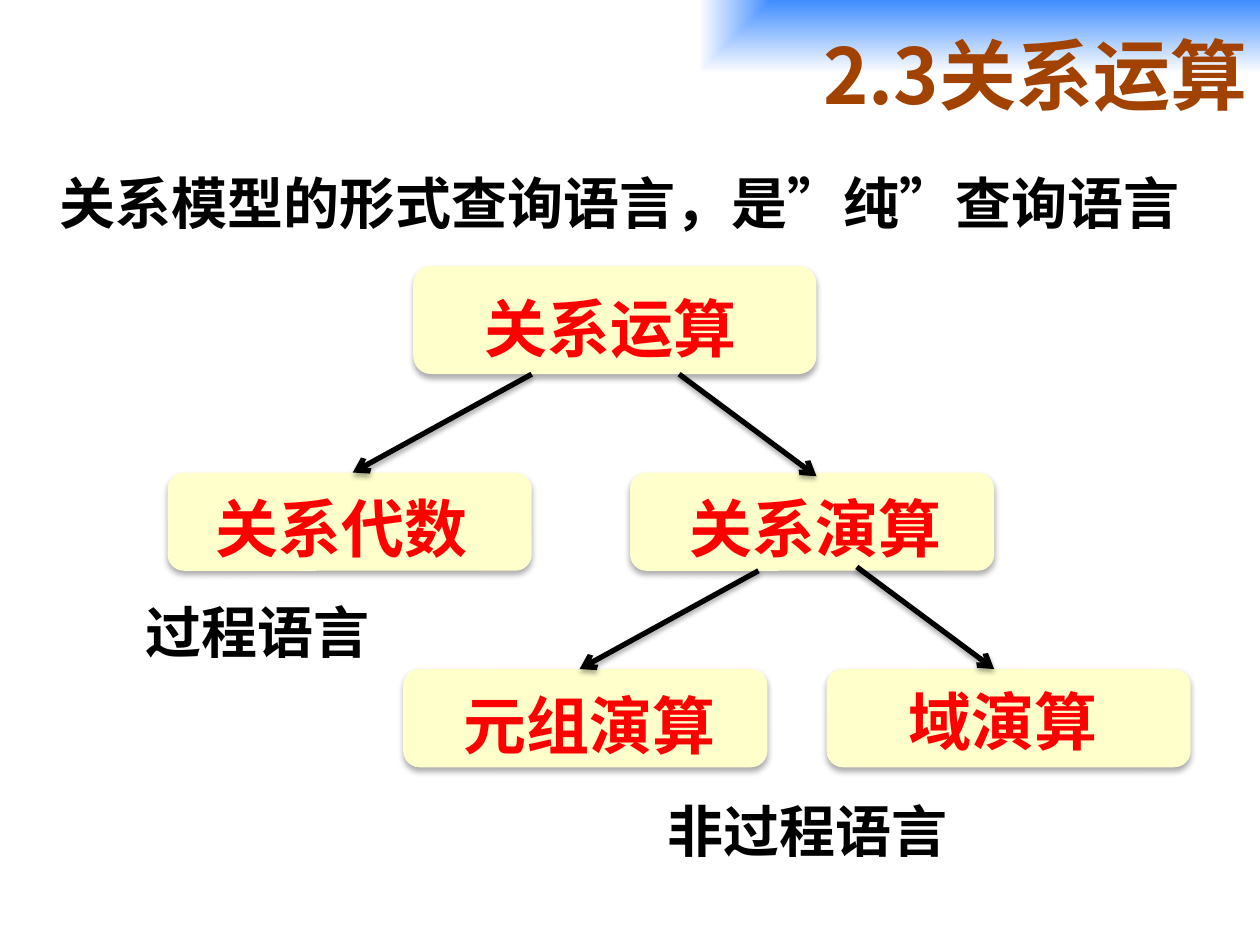
from dataclasses import dataclass

from lxml import etree
from pptx import Presentation
from pptx.dml.color import RGBColor
from pptx.enum.shapes import MSO_CONNECTOR, MSO_SHAPE
from pptx.enum.text import MSO_ANCHOR, MSO_AUTO_SIZE, PP_ALIGN
from pptx.oxml import parse_xml
from pptx.oxml.ns import qn
from pptx.util import Inches, Pt

ROUNDED = MSO_SHAPE.ROUNDED_RECTANGLE
STRAIGHT = MSO_CONNECTOR.STRAIGHT
MIDDLE = MSO_ANCHOR.MIDDLE
FIT_SHAPE = MSO_AUTO_SIZE.SHAPE_TO_FIT_TEXT
RIGHT = PP_ALIGN.RIGHT
JUSTIFY = PP_ALIGN.JUSTIFY
DRAWING = "http://schemas.openxmlformats.org/drawingml/2006/main"


@dataclass(frozen=True)
class Theme:
    """Colours, fonts and type sizes of the slide."""

    title_font: str = "Noto Sans CJK SC"
    body_font: str = "Noto Sans CJK JP"
    title_color: str = "A24200"
    node_color: str = "FF0000"
    ink: str = "000000"
    node_fill: str = "FFFFCC"
    banner_start: str = "3F8DFF"
    banner_end: str = "FFFFFF"
    title_size: int = 44
    node_size: int = 36
    text_size: int = 32
    line_width: int = 3


THEME = Theme()
CHILD_SIZE = (2.89, 0.78)
NODES = [
    ("关系运算", (3.28, 2.11), (3.2, 0.86), (3.75, 2.19), 2.22),
    ("关系代数", (1.33, 3.75), CHILD_SIZE, (1.61, 3.78), 2.22),
    ("关系演算", (5, 3.75), CHILD_SIZE, (5.37, 3.78), 2.22),
    ("域演算", (6.56, 5.31), CHILD_SIZE, (7.11, 5.31), 1.72),
    ("元组演算", (3.2, 5.31), CHILD_SIZE, (3.58, 5.34), 2.22),
]
ARROWS = [
    ((4.22, 2.97), (2.8, 3.75)),
    ((5.39, 2.97), (6.48, 3.78)),
    ((6.02, 4.53), (4.6, 5.31)),
    ((6.8, 4.5), (7.89, 5.31)),
]
STATEMENTS = [
    ("过程语言", (1.06, 4.69), 2.22),
    ("非过程语言", (5.2, 6.27), 2.89),
    ("关系模型的形式查询语言，是”纯”查询语言", (0.37, 1.29), 9.25),
]


def style_paragraph(paragraph, font_name, size, color):
    """Set one bold font for Latin and East Asian text."""
    font = paragraph.font
    font.size = Pt(size)
    font.bold = True
    font.color.rgb = RGBColor.from_string(color)
    font.name = font_name
    properties = paragraph._p.get_or_add_pPr().get_or_add_defRPr()
    etree.SubElement(properties, qn("a:ea"), typeface=font_name)


def add_shadow(shape, blur, distance, opacity):
    """Give a shape a soft shadow straight below it."""
    shape._element.spPr.append(parse_xml(
        f'<a:effectLst xmlns:a="{DRAWING}">'
        f'<a:outerShdw blurRad="{Pt(blur)}" dist="{Pt(distance)}" '
        'dir="5400000" rotWithShape="0">'
        f'<a:srgbClr val="{THEME.ink}"><a:alpha val="{opacity * 1000}"/>'
        '</a:srgbClr></a:outerShdw></a:effectLst>'))


def fill_banner(shape):
    """Fade a shape's fill outwards from its top right corner."""
    shape._element.spPr.append(parse_xml(
        f'<a:gradFill xmlns:a="{DRAWING}" rotWithShape="0"><a:gsLst>'
        f'<a:gs pos="0"><a:srgbClr val="{THEME.banner_start}"/></a:gs>'
        f'<a:gs pos="100000"><a:srgbClr val="{THEME.banner_end}"/></a:gs>'
        '</a:gsLst><a:path path="rect">'
        '<a:fillToRect l="100000" b="100000"/></a:path></a:gradFill>'))


def set_title(slide, text):
    """Place the title in its banner at the top."""
    title = slide.shapes.title
    title.left, title.top = Inches(1.08), Inches(0)
    title.width, title.height = Inches(8.92), Inches(1.17)
    fill_banner(title)
    frame = title.text_frame
    frame.text = text
    frame.vertical_anchor = MIDDLE
    paragraph = frame.paragraphs[0]
    paragraph.alignment = RIGHT
    style_paragraph(paragraph, THEME.title_font, THEME.title_size,
                    THEME.title_color)


def add_text(slide, text, position, width, height, size, color, wrap=True):
    """Add a text box and return its paragraph."""
    left, top = position
    box = slide.shapes.add_textbox(
        Inches(left), Inches(top), Inches(width), Inches(height))
    frame = box.text_frame
    frame.text = text
    frame.word_wrap = wrap
    frame.auto_size = FIT_SHAPE
    paragraph = frame.paragraphs[0]
    style_paragraph(paragraph, THEME.body_font, size, color)
    return paragraph


def add_node(slide, text, position, size, label_position, label_width):
    """Add a rounded tree node and its label."""
    node = slide.shapes.add_shape(ROUNDED, *map(Inches, position + size))
    node.fill.solid()
    node.fill.fore_color.rgb = RGBColor.from_string(THEME.node_fill)
    node.line.fill.background()
    add_shadow(node, 3.5, 2.2, 32)
    label = add_text(slide, text, label_position, label_width, 0.77,
                     THEME.node_size, THEME.node_color, wrap=False)
    label.alignment = JUSTIFY
    label.line_spacing = 1.1


def add_arrow(slide, start, end):
    """Draw an arrow from a parent node to a child."""
    arrow = slide.shapes.add_connector(STRAIGHT, *map(Inches, start + end))
    arrow.line.width = Pt(THEME.line_width)
    arrow.line.color.rgb = RGBColor.from_string(THEME.ink)
    etree.SubElement(arrow.line._get_or_add_ln(), qn("a:tailEnd"), type="arrow")
    add_shadow(arrow, 3.1, 1.8, 35)


def main():
    """Build the slide and save it."""
    presentation = Presentation()
    presentation.slide_width = Inches(10)
    presentation.slide_height = Inches(7.5)
    slide = presentation.slides.add_slide(presentation.slide_layouts[5])
    set_title(slide, "2.3关系运算")
    for node in NODES:
        add_node(slide, *node)
    for start, end in ARROWS:
        add_arrow(slide, start, end)
    for text, position, width in STATEMENTS:
        add_text(slide, text, position, width, 0.64, THEME.text_size, THEME.ink)
    presentation.save("out.pptx")


if __name__ == "__main__":
    main()
